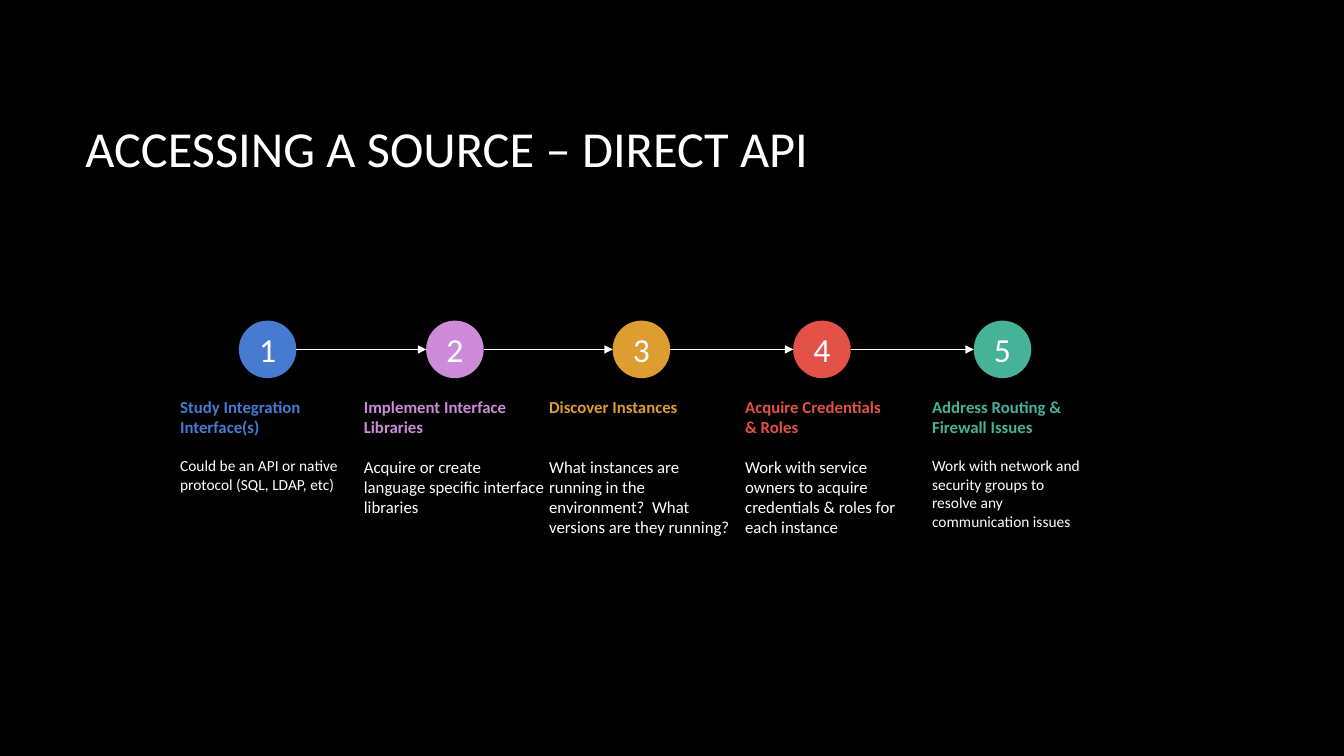
from itertools import pairwise

from lxml import etree
from pptx import Presentation
from pptx.dml.color import RGBColor
from pptx.enum.shapes import MSO_CONNECTOR, MSO_SHAPE
from pptx.enum.text import MSO_ANCHOR, MSO_AUTO_SIZE, PP_ALIGN
from pptx.oxml.ns import qn
from pptx.util import Cm, Pt

BLACK = RGBColor(0x00, 0x00, 0x00)
WHITE = RGBColor(0xFF, 0xFF, 0xFF)
BLUE = RGBColor(0x47, 0x7B, 0xD1)
PINK = RGBColor(0xCD, 0x8B, 0xDA)
GOLD = RGBColor(0xDD, 0x9D, 0x31)
RED = RGBColor(0xE2, 0x52, 0x47)
GREEN = RGBColor(0x46, 0xB2, 0x98)

OVAL = MSO_SHAPE.OVAL
STRAIGHT = MSO_CONNECTOR.STRAIGHT
MIDDLE = MSO_ANCHOR.MIDDLE
TOP = MSO_ANCHOR.TOP
LEFT = PP_ALIGN.LEFT
CENTER = PP_ALIGN.CENTER
GROW = MSO_AUTO_SIZE.SHAPE_TO_FIT_TEXT
FIXED = MSO_AUTO_SIZE.NONE

FONT = "Calibri"
DISC = 1.45
DISC_TOP = 8.08
HEAD_TOP = 9.86
BODY_TOP = 11.38

# disc left, text left, text width, color, head, head lines, body, body lines, body size
STEPS = [
    (6.02, 4.29, 5.26, BLUE, "Study Integration Interface(s)", 2,
     "Could be an API or native protocol (SQL, LDAP, etc)", 2, 11),
    (10.74, 8.92, 5.08, PINK, "Implement Interface Libraries", 2,
     "Acquire or create language specific interface libraries", 3, 12),
    (15.44, 13.59, 5.08, GOLD, "Discover Instances", 1,
     "What instances are running in the environment?  "
     "What versions are they running?", 4, 12),
    (19.99, 18.53, 4.3, RED, "Acquire Credentials & Roles", 2,
     "Work with service owners to acquire credentials & roles "
     "for each instance", 4, 12),
    (24.54, 23.24, 4.37, GREEN, "Address Routing & Firewall Issues", 2,
     "Work with network and security groups to resolve any "
     "communication issues", 4, 11),
]


def write(shape, text, size=12, color=WHITE, bold=False, align=LEFT,
          anchor=TOP, fit=FIXED):
    frame = shape.text_frame
    frame.word_wrap = True
    frame.auto_size = fit
    frame.vertical_anchor = anchor
    para = frame.paragraphs[0]
    para.alignment = align
    run = para.add_run()
    run.text = text
    font = run.font
    font.name = FONT
    font.size = Pt(size)
    font.bold = bold
    font.color.rgb = color


def add_title(slide, text):
    box = slide.shapes.add_textbox(Cm(1.9), Cm(1.7), Cm(28.14), Cm(4.04))
    write(box, text, size=36, anchor=MIDDLE)


def add_label(slide, left, top, width, lines, text, size=12, **style):
    height = 0.25 + lines * size * 0.0423
    box = slide.shapes.add_textbox(Cm(left), Cm(top), Cm(width), Cm(height))
    write(box, text, size=size, fit=GROW, **style)


def add_disc(slide, left, number, color):
    disc = slide.shapes.add_shape(
        OVAL, Cm(left), Cm(DISC_TOP), Cm(DISC), Cm(DISC))
    disc.shadow.inherit = False
    disc.fill.solid()
    disc.fill.fore_color.rgb = color
    disc.line.fill.background()
    frame = disc.text_frame
    frame.margin_left = frame.margin_right = 0
    frame.margin_top = frame.margin_bottom = 0
    write(disc, str(number), size=24, align=CENTER, anchor=MIDDLE)


def add_arrow(slide, start, end):
    level = Cm(DISC_TOP + DISC / 2)
    arrow = slide.shapes.add_connector(
        STRAIGHT, Cm(start), level, Cm(end), level)
    arrow.line.color.rgb = WHITE
    arrow.line.width = Pt(0.75)
    props = arrow.element.spPr
    tail = etree.SubElement(props.find(qn("a:ln")), qn("a:tailEnd"))
    tail.set("type", "triangle")
    etree.SubElement(props, qn("a:effectLst"))


def main():
    deck = Presentation()
    deck.slide_width = Cm(33.87)
    deck.slide_height = Cm(19.05)
    slide = deck.slides.add_slide(deck.slide_layouts[6])
    slide.background.fill.solid()
    slide.background.fill.fore_color.rgb = BLACK

    add_title(slide, "ACCESSING A SOURCE – DIRECT API")
    for number, step in enumerate(STEPS, 1):
        spot, left, width, color, head, rows, body, lines, size = step
        add_disc(slide, spot, number, color)
        add_label(slide, left, HEAD_TOP, width, rows, head,
                  color=color, bold=True)
        add_label(slide, left, BODY_TOP, width, lines, body, size=size)
    for here, there in pairwise(STEPS):
        add_arrow(slide, here[0] + DISC, there[0])

    deck.save("out.pptx")


if __name__ == "__main__":
    main()
